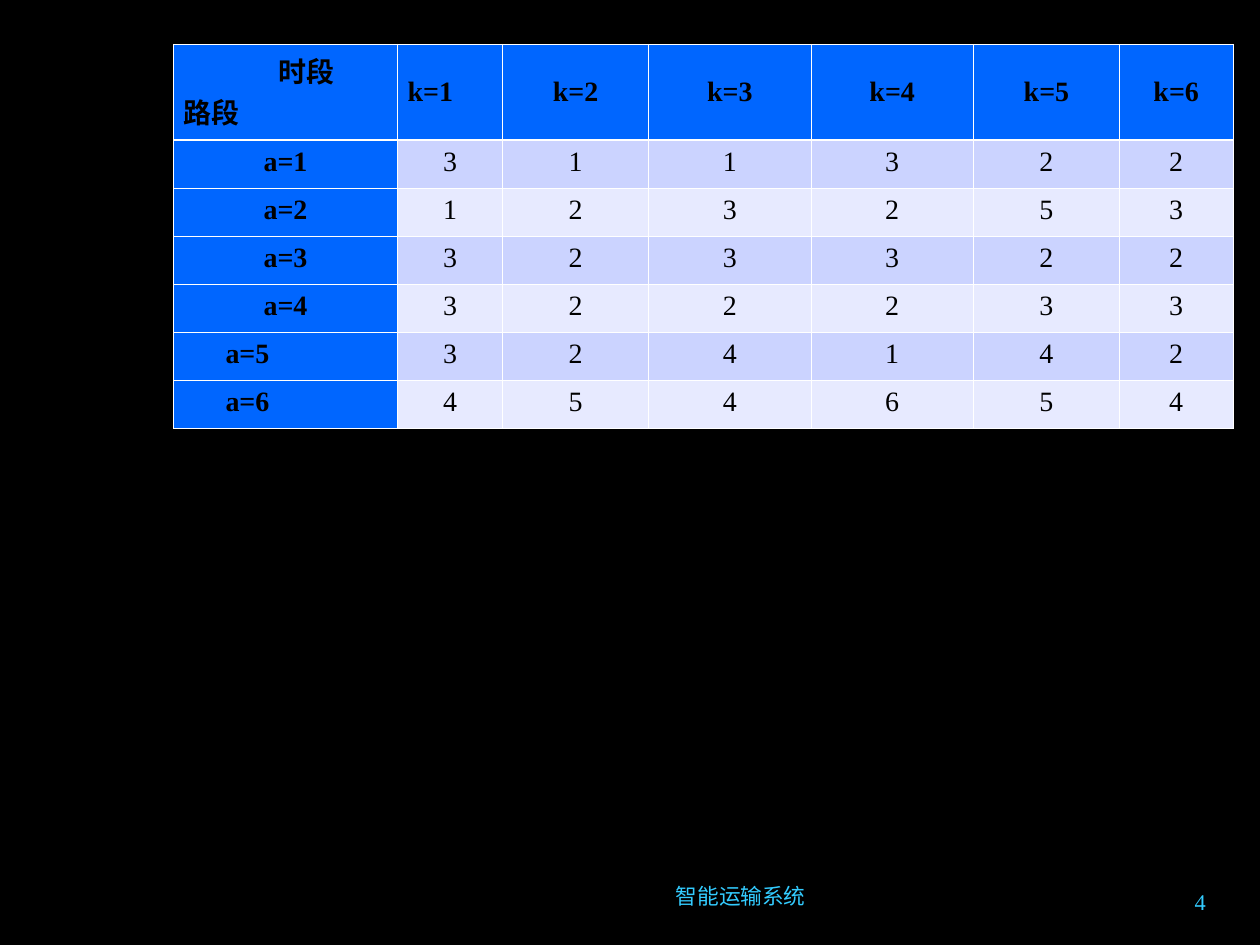
import pptx
import pptx.dml.color
import pptx.enum.text
import pptx.oxml
import pptx.oxml.ns
import pptx.util

Pt = pptx.util.Pt
ALIGN = pptx.enum.text.PP_ALIGN
ANCHOR = pptx.enum.text.MSO_ANCHOR

COLORS = {
    "background": "000000",
    "text": "000000",
    "footer": "33CCFF",
    "header": "0066FF",
    "odd_row": "CBD3FF",
    "even_row": "E7EAFF",
    "border": "FFFFFF",
}
LATIN = "Times New Roman"
CJK = "Noto Sans CJK SC"

PERIODS = ["k=1", "k=2", "k=3", "k=4", "k=5", "k=6"]
TRAVEL_TIMES = {
    "a=1": [3, 1, 1, 3, 2, 2],
    "a=2": [1, 2, 3, 2, 5, 3],
    "a=3": [3, 2, 3, 3, 2, 2],
    "a=4": [3, 2, 2, 2, 3, 3],
    "a=5": [3, 2, 4, 1, 4, 2],
    "a=6": [4, 5, 4, 6, 5, 4],
}
INDENTED = ("a=5", "a=6")
COLUMN_WIDTHS = [128.1, 60, 83.5, 92.8, 92.8, 83.5, 64.8]
HEADER_HEIGHT, ROW_HEIGHT = 54.7, 27.5
INDENT = 24
THIN, THICK = 0.45, 1.47


def rgb(name):
    return pptx.dml.color.RGBColor.from_string(COLORS[name])


def write(p, text, size=16, color="text", bold=False, align=ALIGN.CENTER,
          font=LATIN, indent=0, spacing=None):
    p.alignment = align
    if spacing:
        p.line_spacing = spacing
    if indent:
        p._p.get_or_add_pPr().set("marL", str(Pt(indent)))
    r = p.add_run()
    r.text = text
    r.font.size = Pt(size)
    r.font.bold = bold
    r.font.name = font
    r.font.color.rgb = rgb(color)
    ea = pptx.oxml.parse_xml(
        f'<a:ea {pptx.oxml.ns.nsdecls("a")} typeface="{CJK}"/>')
    r._r.rPr.find(pptx.oxml.ns.qn("a:latin")).addnext(ea)


class SlideBuilder:
    def __init__(self, slide):
        self.slide = slide
        fill = slide.background.fill
        fill.solid()
        fill.fore_color.rgb = rgb("background")

    def text(self, text, left, top, width, height, **style):
        sp = self.slide.shapes.add_textbox(
            Pt(left), Pt(top), Pt(width), Pt(height))
        tf = sp.text_frame
        tf.word_wrap = True
        write(tf.paragraphs[0], text, color="footer", **style)

    def table(self, left, top, widths, heights):
        frame = self.slide.shapes.add_table(
            len(heights), len(widths), Pt(left), Pt(top),
            Pt(sum(widths)), Pt(sum(heights)))
        table = frame.table
        table.first_row = table.horz_banding = False
        for column, width in zip(table.columns, widths):
            column.width = Pt(width)
        for row, height in zip(table.rows, heights):
            row.height = Pt(height)
        return table

    def cell(self, cell, fill, top=THIN, bottom=THIN, anchor=ANCHOR.TOP):
        """Style a cell and return its first paragraph."""
        cell.fill.solid()
        cell.fill.fore_color.rgb = rgb(fill)
        cell.margin_left = cell.margin_right = Pt(5.76)
        cell.margin_top = cell.margin_bottom = Pt(3.6)
        cell.vertical_anchor = anchor
        tc_pr = cell._tc.get_or_add_tcPr()
        edges = {"L": THIN, "R": THIN, "T": top, "B": bottom}
        for i, (side, width) in enumerate(edges.items()):
            tc_pr.insert(i, pptx.oxml.parse_xml(
                f'<a:ln{side} {pptx.oxml.ns.nsdecls("a")} w="{Pt(width)}">'
                f'<a:solidFill><a:srgbClr val="{COLORS["border"]}"/>'
                f'</a:solidFill></a:ln{side}>'))
        return cell.text_frame.paragraphs[0]


def add_travel_times(builder):
    heights = [HEADER_HEIGHT] + [ROW_HEIGHT] * len(TRAVEL_TIMES)
    table = builder.table(99.1, 25.3, COLUMN_WIDTHS, heights)

    corner = table.cell(0, 0)
    p = builder.cell(corner, "header", bottom=THICK)
    write(p, "时段", bold=True, indent=INDENT)
    write(corner.text_frame.add_paragraph(), "路段", bold=True,
          align=ALIGN.JUSTIFY)
    for col, period in enumerate(PERIODS, 1):
        p = builder.cell(table.cell(0, col), "header", bottom=THICK,
                         anchor=ANCHOR.MIDDLE)
        write(p, period, bold=True,
              align=ALIGN.JUSTIFY if col == 1 else ALIGN.CENTER)

    for row, (section, values) in enumerate(TRAVEL_TIMES.items(), 1):
        top = THICK if row == 1 else THIN
        p = builder.cell(table.cell(row, 0), "header", top=top)
        if section in INDENTED:
            write(p, section, bold=True, align=ALIGN.JUSTIFY, indent=INDENT)
        else:
            write(p, section, bold=True)
        band = "odd_row" if row % 2 else "even_row"
        for col, value in enumerate(values, 1):
            write(builder.cell(table.cell(row, col), band, top=top),
                  str(value))


def main():
    prs = pptx.Presentation()
    prs.slide_width, prs.slide_height = Pt(720), Pt(540)
    builder = SlideBuilder(prs.slides.add_slide(prs.slide_layouts[6]))
    builder.text("智能运输系统", 246.2, 504, 354.2, 23.8,
                 size=12.4, font=CJK, spacing=0.8)
    builder.text("4", 624.2, 504, 72, 23.8, size=12.8, align=ALIGN.RIGHT)
    add_travel_times(builder)
    prs.save("out.pptx")


if __name__ == "__main__":
    main()
